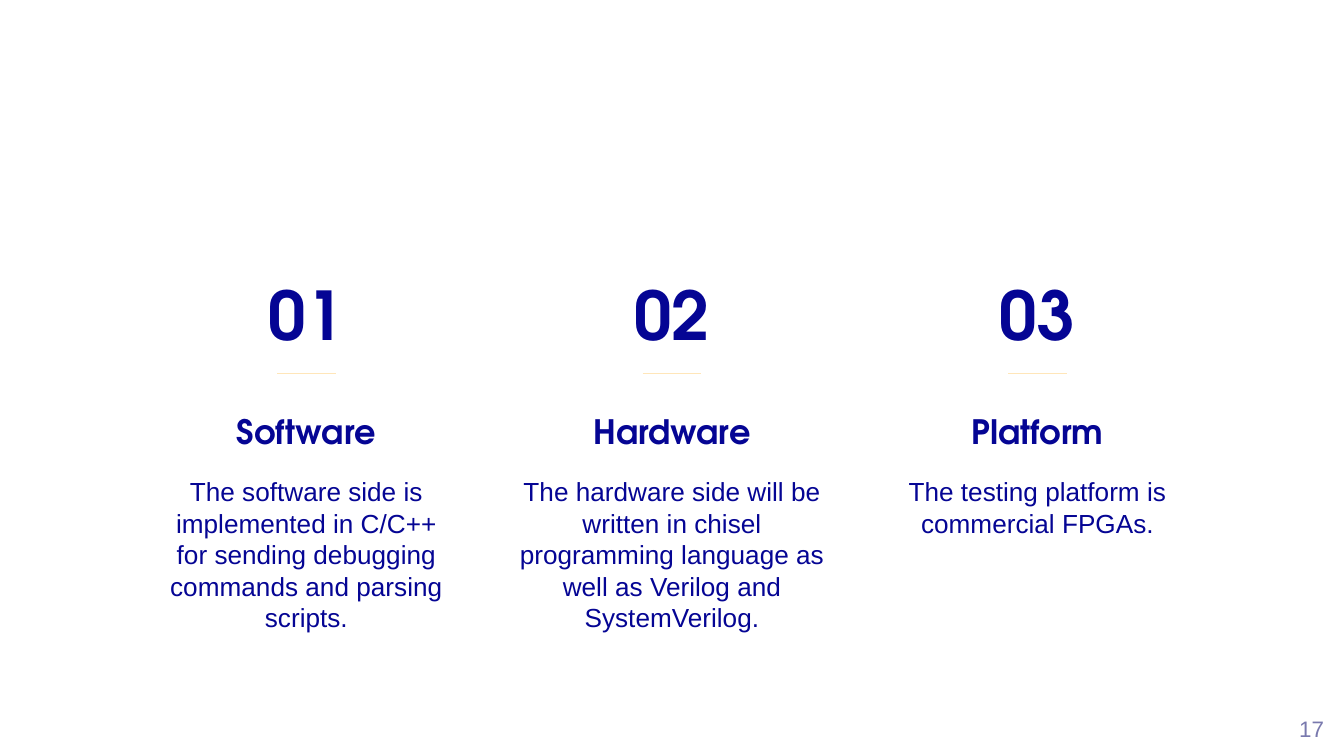
from lxml.etree import SubElement
from pptx import Presentation
from pptx.dml.color import RGBColor
from pptx.enum.shapes import MSO_CONNECTOR
from pptx.enum.text import MSO_ANCHOR, PP_ALIGN
from pptx.oxml.ns import qn
from pptx.util import Pt

COLORS = {"navy": "050594", "rule": "FFE6B9", "page": "7979AE", "back": "FFFFFF"}
HEAD_FONT = "TeX Gyre Adventor"
BODY_FONT = "Arial"
SLIDE_W, SLIDE_H = 720, 405
COLUMN_STEP = 195.84
COLUMN_W = 162.72
RULE_W = 31.2
RULE_Y = 200.16

COLUMNS = [
    ("01", "Software", COLUMN_W,
     "The software side is implemented in C/C++ for sending debugging "
     "commands and parsing scripts."),
    ("02", "Hardware", 190.8,
     "The hardware side will be written in chisel programming language "
     "as well as Verilog and SystemVerilog."),
    ("03", "Platform", COLUMN_W,
     "The testing platform is commercial FPGAs."),
]


def color(name):
    return RGBColor.from_string(COLORS[name])


def add_text(s, text, box, size, font=BODY_FONT, bold=False, fill="navy",
             align=PP_ALIGN.CENTER, anchor=MSO_ANCHOR.TOP):
    sp = s.shapes.add_textbox(*(Pt(v) for v in box))
    tf = sp.text_frame
    tf.word_wrap = True
    tf.vertical_anchor = anchor
    tf.margin_left = tf.margin_right = Pt(7.2)
    tf.margin_top = tf.margin_bottom = Pt(7.2)
    p = tf.paragraphs[0]
    p.alignment = align
    r = p.add_run()
    r.text = text
    r.font.name = font
    r.font.size = Pt(size)
    r.font.bold = bold
    r.font.color.rgb = color(fill)


def add_heading(s, text, center, top, height, size):
    add_text(s, text, (center - COLUMN_W / 2, top, COLUMN_W, height), size,
             HEAD_FONT, True, anchor=MSO_ANCHOR.BOTTOM)


def add_rule(s, center):
    line = s.shapes.add_connector(
        MSO_CONNECTOR.STRAIGHT, Pt(center - RULE_W / 2), Pt(RULE_Y),
        Pt(center + RULE_W / 2), Pt(RULE_Y))
    line.line.color.rgb = color("rule")
    line.line.width = Pt(0.75)
    SubElement(line._element.spPr, qn("a:effectLst"))


def add_column(s, center, number, title, width, body):
    add_heading(s, number, center, 139.68, 56.88, 36)
    add_rule(s, center)
    add_heading(s, title, center, 205.92, 43.2, 18)
    add_text(s, body, (center - width / 2, 247.68, width, 97.2), 14)


def main():
    prs = Presentation()
    prs.slide_width, prs.slide_height = Pt(SLIDE_W), Pt(SLIDE_H)
    s = prs.slides.add_slide(prs.slide_layouts[6])
    s.background.fill.solid()
    s.background.fill.fore_color.rgb = color("back")
    for i, column in enumerate(COLUMNS):
        add_column(s, SLIDE_W / 2 + (i - 1) * COLUMN_STEP, *column)
    add_text(s, "17", (554.4, 379.44, 162, 21.6), 12, fill="page",
             align=PP_ALIGN.RIGHT, anchor=MSO_ANCHOR.MIDDLE)
    prs.save("out.pptx")


if __name__ == "__main__":
    main()
